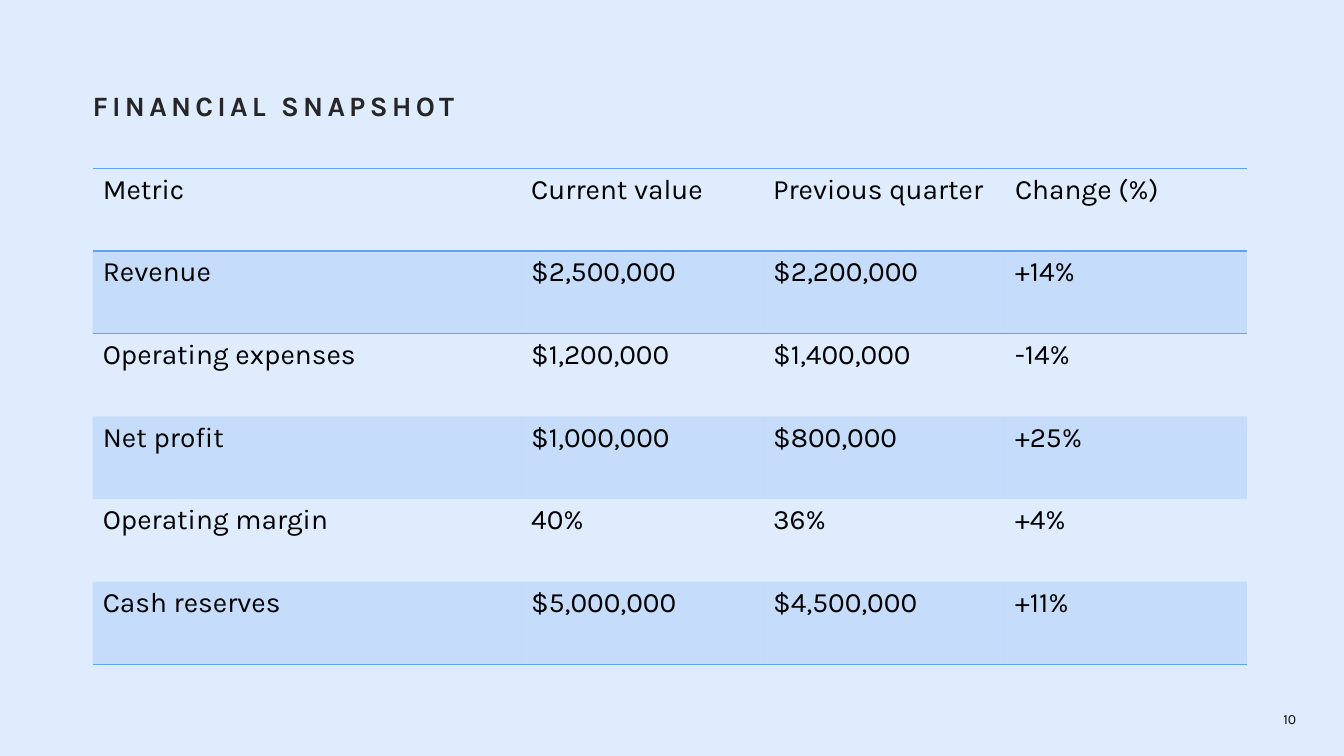
from lxml import etree
from pptx import Presentation
from pptx.dml.color import RGBColor
from pptx.enum.text import MSO_ANCHOR, PP_ALIGN
from pptx.oxml.ns import qn
from pptx.util import Pt

LEFT, RIGHT = PP_ALIGN.LEFT, PP_ALIGN.RIGHT
TOP, MIDDLE = MSO_ANCHOR.TOP, MSO_ANCHOR.MIDDLE

TITLE = "FINANCIAL SNAPSHOT"
PAGE_NUMBER = "10"
METRICS = [
    ("Metric", "Current value", "Previous quarter", "Change (%)"),
    ("Revenue", "$2,500,000", "$2,200,000", "+14%"),
    ("Operating expenses", "$1,200,000", "$1,400,000", "-14%"),
    ("Net profit", "$1,000,000", "$800,000", "+25%"),
    ("Operating margin", "40%", "36%", "+4%"),
    ("Cash reserves", "$5,000,000", "$4,500,000", "+11%"),
]
COLORS = {"background": "DFECFD", "title": "262626", "text": "000000", "accent": "60A2F5"}
FONT = "Karla"
BAND_OPACITY = 20
PLAIN_TABLE_STYLE = "{2D5ABB26-0587-4C30-8999-92F81FD0307C}"

MARGIN, TABLE_TOP, ROW_HEIGHT = 66.25, 120.25, 59.05
COLUMN_WIDTHS = [306, 172.8, 172.8, 172.8]
CONTENT_WIDTH = sum(COLUMN_WIDTHS)


def color(name):
    return RGBColor.from_string(COLORS[name])


def style_font(font, size, color_name, bold=False):
    font.name, font.size, font.bold = FONT, Pt(size), bold
    font.color.rgb = color(color_name)


def add_label(slide, text, box, size, color_name, align=LEFT, anchor=TOP, bold=False):
    frame = slide.shapes.add_textbox(*map(Pt, box)).text_frame
    frame.margin_left = frame.margin_top = frame.margin_right = frame.margin_bottom = 0
    frame.word_wrap = True
    frame.vertical_anchor = anchor
    frame.text = text
    paragraph = frame.paragraphs[0]
    paragraph.alignment = align
    style_font(paragraph.runs[0].font, size, color_name, bold)
    return paragraph


def add_border(cell, side):
    """Rule one side of a cell; side is lnT or lnB, top first."""
    line = etree.SubElement(cell._tc.get_or_add_tcPr(), qn(f"a:{side}"), w=str(Pt(1)))
    fill = etree.SubElement(line, qn("a:solidFill"))
    etree.SubElement(fill, qn("a:srgbClr"), val=COLORS["accent"])


def fill_band(cell):
    cell.fill.solid()
    cell.fill.fore_color.rgb = color("accent")
    tint = cell._tc.tcPr.find(qn("a:solidFill")).find(qn("a:srgbClr"))
    etree.SubElement(tint, qn("a:alpha"), val=str(BAND_OPACITY * 1000))


def add_metrics_table(slide):
    last = len(METRICS) - 1
    table = slide.shapes.add_table(
        len(METRICS), len(COLUMN_WIDTHS), Pt(MARGIN), Pt(TABLE_TOP),
        Pt(CONTENT_WIDTH), Pt(ROW_HEIGHT * len(METRICS))).table
    table._tbl.tblPr.find(qn("a:tableStyleId")).text = PLAIN_TABLE_STYLE
    for column, width in zip(table.columns, COLUMN_WIDTHS):
        column.width = Pt(width)
    for r, values in enumerate(METRICS):
        table.rows[r].height = Pt(ROW_HEIGHT)
        for c, value in enumerate(values):
            cell = table.cell(r, c)
            cell.text = value
            style_font(cell.text_frame.paragraphs[0].runs[0].font, 20, "text")
            if r in (0, 1):
                add_border(cell, "lnT")
            if r in (0, last):
                add_border(cell, "lnB")
            if r % 2:
                fill_band(cell)
            else:
                cell.fill.background()


def main():
    deck = Presentation()
    deck.slide_width, deck.slide_height = Pt(960), Pt(540)
    slide = deck.slides.add_slide(deck.slide_layouts[6])
    slide.background.fill.solid()
    slide.background.fill.fore_color.rgb = color("background")

    title = add_label(slide, TITLE, (MARGIN, 66.25, CONTENT_WIDTH, 44), 20, "title", bold=True)
    title.line_spacing = 0.9
    title.runs[0].font._element.set("spc", "300")
    add_metrics_table(slide)
    add_label(slide, PAGE_NUMBER, (859.7, 502.6, 66.2, 22.3), 10, "text", RIGHT, MIDDLE)
    deck.save("out.pptx")


if __name__ == "__main__":
    main()
